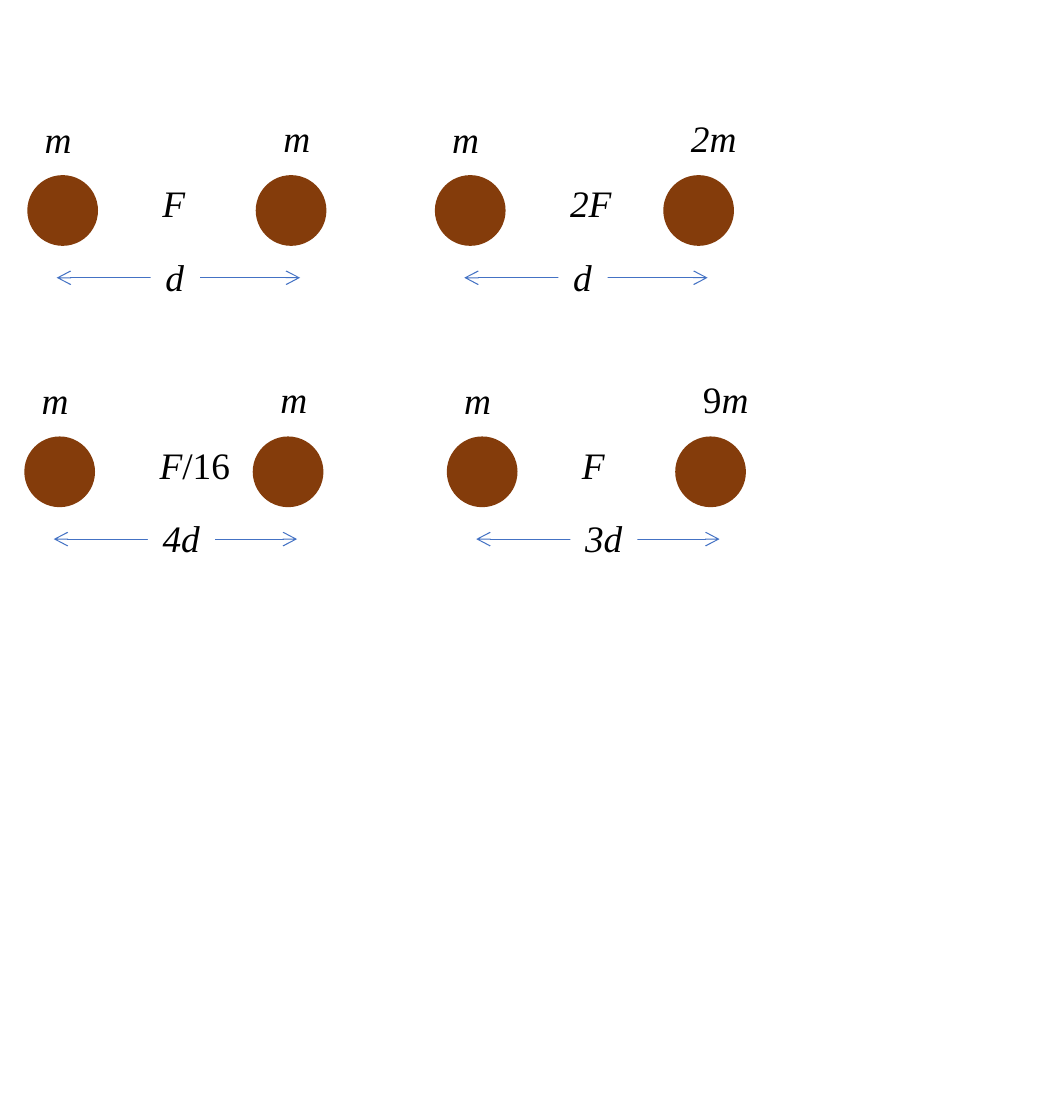
"""Draw four pairs of masses with the gravitational force and distance between them."""
from dataclasses import dataclass

from lxml.etree import SubElement
from pptx import Presentation
from pptx.dml.color import RGBColor
from pptx.enum.shapes import MSO_CONNECTOR, MSO_SHAPE
from pptx.enum.text import MSO_AUTO_SIZE
from pptx.oxml.ns import qn
from pptx.slide import Slide
from pptx.util import Cm, Inches, Pt

BROWN = RGBColor(0x84, 0x3C, 0x0B)
BLUE = RGBColor(0x44, 0x72, 0xC4)
WHITE = RGBColor(0xFF, 0xFF, 0xFF)
BLACK = RGBColor(0x00, 0x00, 0x00)
FONT = "Times New Roman"
BALL = 0.46
BALL_GAP = 1.53
LABEL_HEIGHT = 0.4


@dataclass(frozen=True)
class Run:
    text: str
    italic: bool = True


@dataclass(frozen=True)
class Label:
    width: float
    runs: tuple[Run, ...]


@dataclass(frozen=True)
class MassPair:
    x: float
    y: float
    right_mass: Label
    force: Label
    distance: Label


M = Label(0.38, (Run("m"),))
F = Label(0.36, (Run("F"),))
D = Label(0.33, (Run("d"),))

PAIRS = (
    MassPair(0.19, 1.18, M, F, D),
    MassPair(2.92, 1.18, Label(0.51, (Run("2m"),)), Label(0.48, (Run("2F"),)), D),
    MassPair(0.17, 2.93, M, Label(0.68, (Run("F"), Run("/16", False))),
             Label(0.45, (Run("4d"),))),
    MassPair(3.0, 2.93, Label(0.51, (Run("9", False), Run("m"))), F,
             Label(0.45, (Run("3d"),))),
)


def add_ball(s: Slide, x: float, y: float) -> None:
    ball = s.shapes.add_shape(MSO_SHAPE.OVAL, Inches(x), Inches(y), Inches(BALL), Inches(BALL))
    ball.shadow.inherit = False
    ball.fill.solid()
    ball.fill.fore_color.rgb = BROWN
    ball.line.color.rgb = BROWN
    ball.line.width = Pt(1)


def add_arrow(s: Slide, x1: float, x2: float, y: float) -> None:
    arrow = s.shapes.add_connector(
        MSO_CONNECTOR.STRAIGHT, Inches(x1), Inches(y), Inches(x2), Inches(y))
    arrow.line.color.rgb = BLUE
    arrow.line.width = Pt(0.5)
    properties = arrow.element.spPr
    ln = properties.find(qn("a:ln"))
    for end in ("a:headEnd", "a:tailEnd"):
        SubElement(ln, qn(end), type="arrow")
    SubElement(properties, qn("a:effectLst"))


def add_label(s: Slide, label: Label, x: float, y: float, fill: RGBColor | None = None) -> None:
    sp = s.shapes.add_textbox(Inches(x), Inches(y), Inches(label.width), Inches(LABEL_HEIGHT))
    if fill is not None:
        sp.fill.solid()
        sp.fill.fore_color.rgb = fill
    tf = sp.text_frame
    tf.word_wrap = False
    tf.auto_size = MSO_AUTO_SIZE.SHAPE_TO_FIT_TEXT
    p = tf.paragraphs[0]
    for run in label.runs:
        r = p.add_run()
        r.text = run.text
        r.font.name = FONT
        r.font.size = Pt(18)
        r.font.italic = run.italic
        r.font.color.rgb = BLACK


def add_pair(s: Slide, pair: MassPair) -> None:
    x, y = pair.x, pair.y
    add_ball(s, x, y)
    add_ball(s, x + BALL_GAP, y)
    add_arrow(s, x + 0.19, x + 1.82, y + 0.68)
    add_label(s, pair.distance, x + 0.82, y + 0.47, WHITE)
    add_label(s, M, x + 0.01, y - 0.45)
    add_label(s, pair.right_mass, x + 1.61, y - 0.46)
    add_label(s, pair.force, x + 0.8, y - 0.02)


def main() -> None:
    prs = Presentation()
    prs.slide_width = Cm(18)
    prs.slide_height = Inches(7.5)
    s = prs.slides.add_slide(prs.slide_layouts[6])
    for pair in PAIRS:
        add_pair(s, pair)
    prs.save("out.pptx")


if __name__ == "__main__":
    main()
